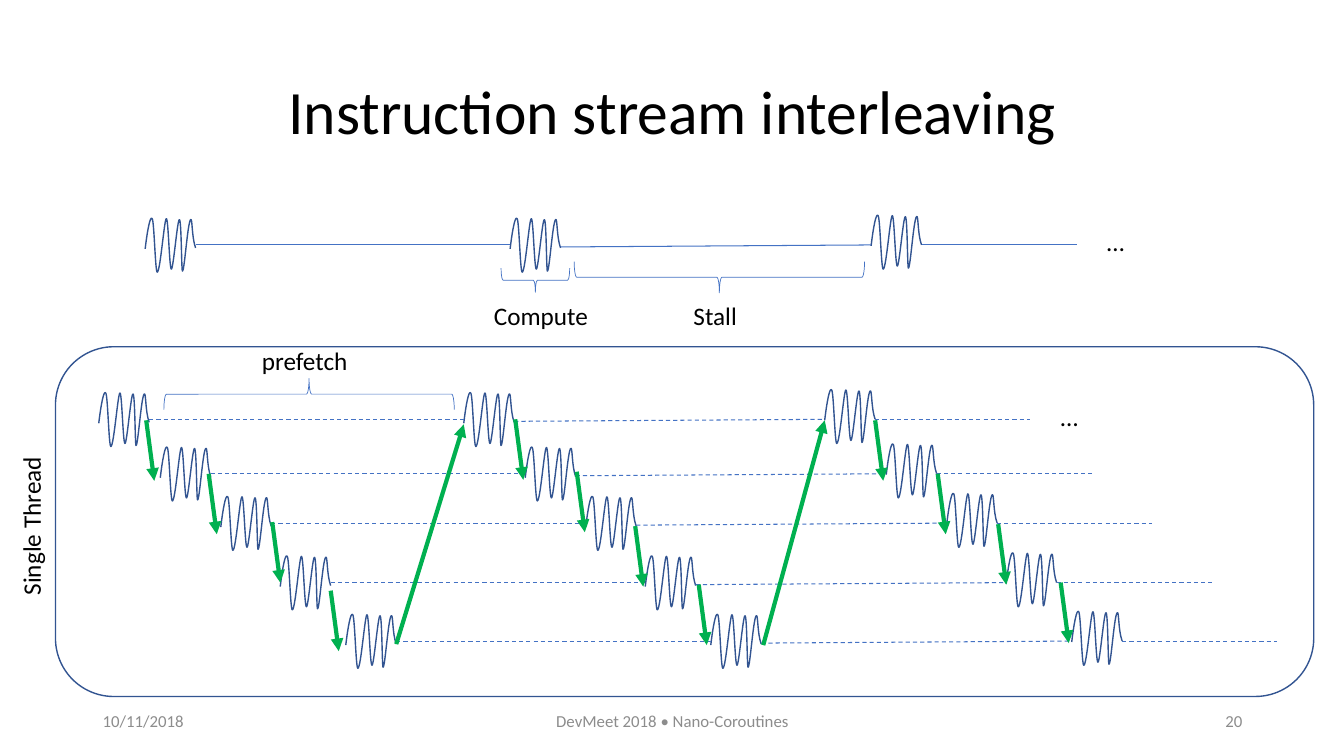
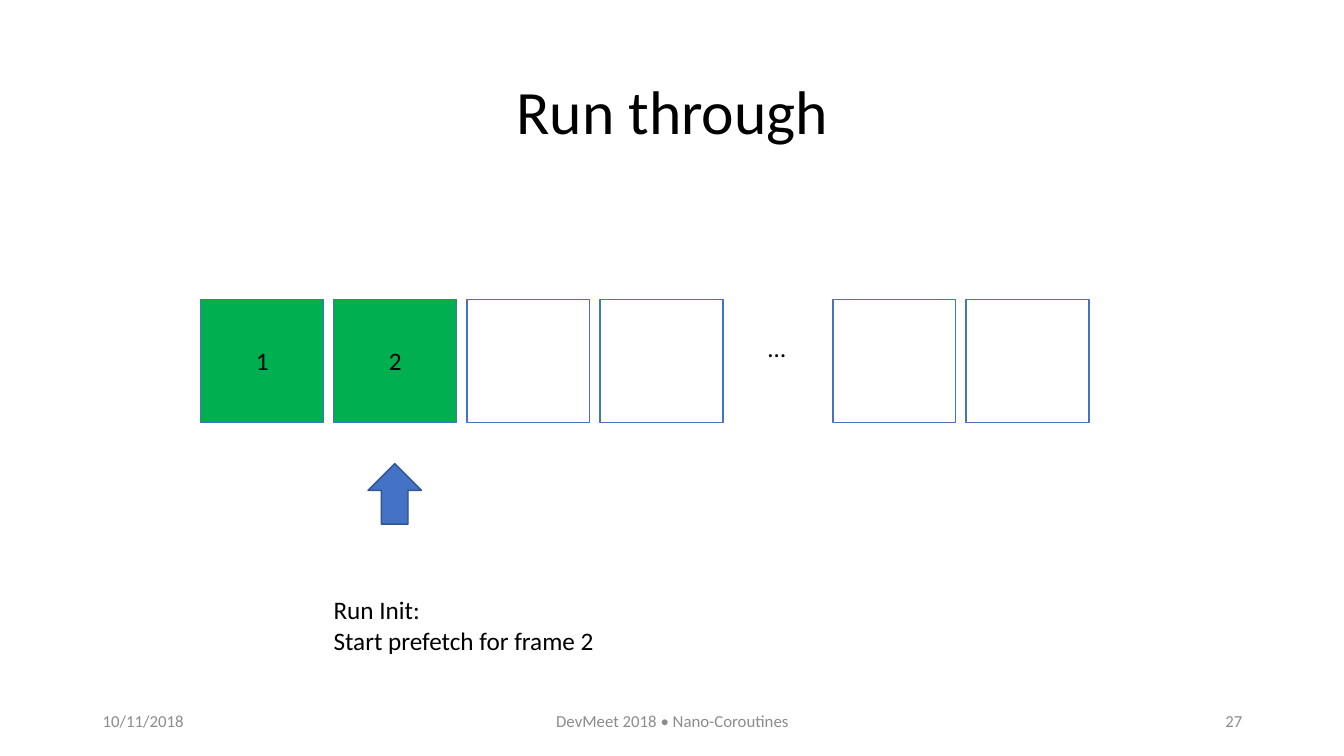
from typing import NamedTuple

from lxml import etree
from pptx import Presentation
from pptx.dml.color import RGBColor
from pptx.enum.dml import MSO_LINE
from pptx.enum.shapes import MSO_CONNECTOR, MSO_SHAPE as SHAPE
from pptx.enum.text import MSO_ANCHOR as ANCHOR, MSO_AUTO_SIZE as AUTO, PP_ALIGN as ALIGN
from pptx.oxml.ns import qn
from pptx.util import Inches, Pt

FONT = "Calibri"
COLORS = {
    "text": "000000",
    "footer": "8C8C8C",
    "blue": "4472C4",
    "outline": "325491",
    "green": "00B050",
    "white": "FFFFFF",
}


class Box(NamedTuple):
    left: float
    top: float
    width: float
    height: float


class Point(NamedTuple):
    x: float
    y: float


class Label(NamedTuple):
    text: str
    box: Box
    rotation: int = 0


class Footer(NamedTuple):
    text: str
    box: Box
    align: ALIGN


class Brace(NamedTuple):
    box: Box
    rotation: int


class Frame(NamedTuple):
    left: float
    text: str = ""
    color: str = "white"


TITLE_BOX = Box(0.92, 0.41, 11.5, 1.45)
FOOTERS = [
    Footer("DevMeet 2018 • Nano-Coroutines", Box(4.42, 6.95, 4.5, 0.4), ALIGN.CENTER),
    Footer("10/11/2018", Box(0.92, 6.95, 3, 0.4), ALIGN.LEFT),
]
NUMBER_BOX = Box(9.42, 6.95, 3, 0.4)

# Cubic curve segments of one burst, relative to its start
BURST_CURVES = [
    ((0.02, -0.17), (0.05, -0.34), (0.07, -0.3)),
    ((0.09, -0.27), (0.1, 0.23), (0.12, 0.23)),
    ((0.15, 0.23), (0.19, -0.3), (0.21, -0.3)),
    ((0.23, -0.31), (0.24, 0.2), (0.26, 0.2)),
    ((0.28, 0.2), (0.32, -0.3), (0.34, -0.29)),
    ((0.36, -0.29), (0.36, 0.22), (0.37, 0.22)),
    ((0.39, 0.22), (0.42, -0.25), (0.45, -0.29)),
    ((0.47, -0.32), (0.46, -0.12), (0.5, -0.01)),
]
BURST_WIDTH = 0.5
BURST_OFFSETS = [Point(0, 0), Point(3.62, 0), Point(7.2, -0.03)]
STREAM_WIDTH = 9.24

SINGLE_STREAM = Point(1.44, 2.47)
THREAD_STREAMS = [
    Point(0.98, 4.2), Point(1.59, 4.74), Point(2.19, 5.23), Point(2.78, 5.82), Point(3.43, 6.4),
]
SWITCH = Point(0.08, 0.6)
SWITCH_STARTS = [
    Point(1.45, 4.17), Point(2.07, 4.7), Point(2.7, 5.18), Point(3.28, 5.86),
    Point(5.11, 4.16), Point(5.72, 4.68), Point(6.3, 5.22), Point(6.93, 5.8),
    Point(8.68, 4.17), Point(9.3, 4.7), Point(9.9, 5.2), Point(10.52, 5.78),
]
RETURNS = [(Point(3.93, 6.39), Point(4.6, 4.21)), (Point(7.57, 6.4), Point(8.18, 4.17))]
BRACES = [
    Brace(Box(5.19, 2.44, 0.24, 0.68), 270),
    Brace(Box(6.98, 1.31, 0.31, 2.88), 270),
    Brace(Box(2.91, 2.47, 0.31, 2.88), 90),
]
STREAM_LABELS = [
    Label("Compute", Box(4.8, 2.93, 1.15, 0.4)),
    Label("Stall", Box(6.78, 2.93, 0.64, 0.4)),
    Label("…", Box(10.88, 2.2, 0.38, 0.4)),
    Label("…", Box(10.42, 3.93, 0.38, 0.4)),
    Label("prefetch", Box(2.5, 3.38, 1.06, 0.4)),
    Label("Single Thread", Box(-0.49, 5.01, 1.59, 0.4), 270),
]

FRAME_SIDE, FRAME_TOP, FRAME_PITCH = 1.22, 2.97, 1.32
FIRST_FRAMES, LAST_FRAMES = 1.99, 8.26
FRAMES = [
    Frame(FIRST_FRAMES, "1", "green"),
    Frame(FIRST_FRAMES + FRAME_PITCH, "2", "green"),
    Frame(FIRST_FRAMES + 2 * FRAME_PITCH),
    Frame(FIRST_FRAMES + 3 * FRAME_PITCH),
    Frame(LAST_FRAMES),
    Frame(LAST_FRAMES + FRAME_PITCH),
]
RUN_LABELS = [
    Label("…", Box(7.52, 3.25, 0.38, 0.4)),
    Label("Run Init:\nStart prefetch for frame 2", Box(3.21, 5.85, 2.81, 0.71)),
]


def rgb(name: str) -> RGBColor:
    return RGBColor.from_string(COLORS[name])


def inches(values) -> list:
    return [Inches(v) for v in values]


def write(tf, text: str, size: float, color: str = "text", align: ALIGN = ALIGN.LEFT) -> None:
    """Write one paragraph for each line of text."""
    for i, line in enumerate(text.split("\n")):
        p = tf.add_paragraph() if i else tf.paragraphs[0]
        p.alignment = align
        r = p.add_run()
        r.text = line
        r.font.name = FONT
        r.font.size = Pt(size)
        r.font.color.rgb = rgb(color)


def style(sp, line: str, width: float, fill: str = "") -> None:
    sp.shadow.inherit = False
    if fill:
        sp.fill.solid()
        sp.fill.fore_color.rgb = rgb(fill)
    else:
        sp.fill.background()
    sp.line.color.rgb = rgb(line)
    sp.line.width = Pt(width)


def add_title_slide(prs, title: str, number: int):
    """Add a slide with the shared title style and footers."""
    slide = prs.slides.add_slide(prs.slide_layouts[5])
    sp = slide.shapes.title
    sp.left, sp.top, sp.width, sp.height = inches(TITLE_BOX)
    tf = sp.text_frame
    tf.vertical_anchor = ANCHOR.MIDDLE
    write(tf, title, 44, align=ALIGN.CENTER)
    tf.paragraphs[0].line_spacing = 0.9
    for footer in [*FOOTERS, Footer(str(number), NUMBER_BOX, ALIGN.RIGHT)]:
        tf = slide.shapes.add_textbox(*inches(footer.box)).text_frame
        tf.word_wrap = True
        tf.vertical_anchor = ANCHOR.MIDDLE
        write(tf, footer.text, 12, "footer", footer.align)
    return slide


def add_label(slide, label: Label) -> None:
    sp = slide.shapes.add_textbox(*inches(label.box))
    sp.rotation = label.rotation
    tf = sp.text_frame
    tf.word_wrap = False
    tf.auto_size = AUTO.SHAPE_TO_FIT_TEXT
    write(tf, label.text, 18)


def add_line(slide, start: Point, end: Point, color: str = "blue", width: float = 0.75,
             dashed: bool = False, arrow: bool = False) -> None:
    sp = slide.shapes.add_connector(MSO_CONNECTOR.STRAIGHT, *inches((*start, *end)))
    sp.line.color.rgb = rgb(color)
    sp.line.width = Pt(width)
    if dashed:
        sp.line.dash_style = MSO_LINE.DASH
    sp_pr = sp._element.spPr
    if arrow:
        etree.SubElement(sp_pr.find(qn("a:ln")), qn("a:tailEnd"), type="triangle")
    etree.SubElement(sp_pr, qn("a:effectLst"))


def add_burst(slide, start: Point) -> None:
    """Outline the burst through its curve ends, then bend each segment."""
    curves = [[inches((start.x + x, start.y + y)) for x, y in curve] for curve in BURST_CURVES]
    builder = slide.shapes.build_freeform(*inches(start))
    builder.add_line_segments([curve[-1] for curve in curves], close=False)
    sp = builder.convert_to_shape()
    for segment, curve in zip(list(sp._element.iter(qn("a:lnTo"))), curves):
        bend = etree.Element(qn("a:cubicBezTo"))
        for x, y in curve:
            etree.SubElement(bend, qn("a:pt"), x=str(x - sp.left), y=str(y - sp.top))
        segment.getparent().replace(segment, bend)
    style(sp, "outline", 1)


def add_stream(slide, start: Point, dashed: bool) -> None:
    """Draw three compute bursts and the stalls that follow them."""
    bursts = [Point(start.x + o.x, start.y + o.y) for o in BURST_OFFSETS]
    for burst in bursts:
        add_burst(slide, burst)
    level = start.y - 0.04
    stall_ends = [bursts[1].x, bursts[2].x, start.x + STREAM_WIDTH]
    for burst, end, drop in zip(bursts, stall_ends, (0, 0.02, 0)):
        stall = Point(burst.x + BURST_WIDTH, level + drop)
        add_line(slide, stall, Point(end, level), dashed=dashed)


def build_interleaving(prs) -> None:
    slide = add_title_slide(prs, "Instruction stream interleaving", 20)
    thread = slide.shapes.add_shape(SHAPE.ROUNDED_RECTANGLE, *inches(Box(0.55, 3.44, 12.48, 3.47)))
    style(thread, "outline", 1)
    add_stream(slide, SINGLE_STREAM, dashed=False)
    for start in THREAD_STREAMS:
        add_stream(slide, start, dashed=True)
    switches = [(s, Point(s.x + SWITCH.x, s.y + SWITCH.y)) for s in SWITCH_STARTS]
    for start, end in switches + RETURNS:
        add_line(slide, start, end, "green", 3, arrow=True)
    for brace in BRACES:
        sp = slide.shapes.add_shape(SHAPE.LEFT_BRACE, *inches(brace.box))
        sp.rotation = brace.rotation
        style(sp, "blue", 0.5)
    for label in STREAM_LABELS:
        add_label(slide, label)


def build_run_through(prs) -> None:
    slide = add_title_slide(prs, "Run through", 27)
    for frame in FRAMES:
        box = Box(frame.left, FRAME_TOP, FRAME_SIDE, FRAME_SIDE)
        sp = slide.shapes.add_shape(SHAPE.RECTANGLE, *inches(box))
        style(sp, "blue", 1, frame.color)
        if frame.text:
            sp.text_frame.vertical_anchor = ANCHOR.MIDDLE
            write(sp.text_frame, frame.text, 18, align=ALIGN.CENTER)
    pointer = slide.shapes.add_shape(SHAPE.UP_ARROW, *inches(Box(3.65, 4.6, 0.53, 0.6)))
    style(pointer, "outline", 1, "blue")
    for label in RUN_LABELS:
        add_label(slide, label)


def main() -> None:
    prs = Presentation()
    prs.slide_width, prs.slide_height = Inches(13.33), Inches(7.5)
    build_interleaving(prs)
    build_run_through(prs)
    prs.save("out.pptx")


if __name__ == "__main__":
    main()
